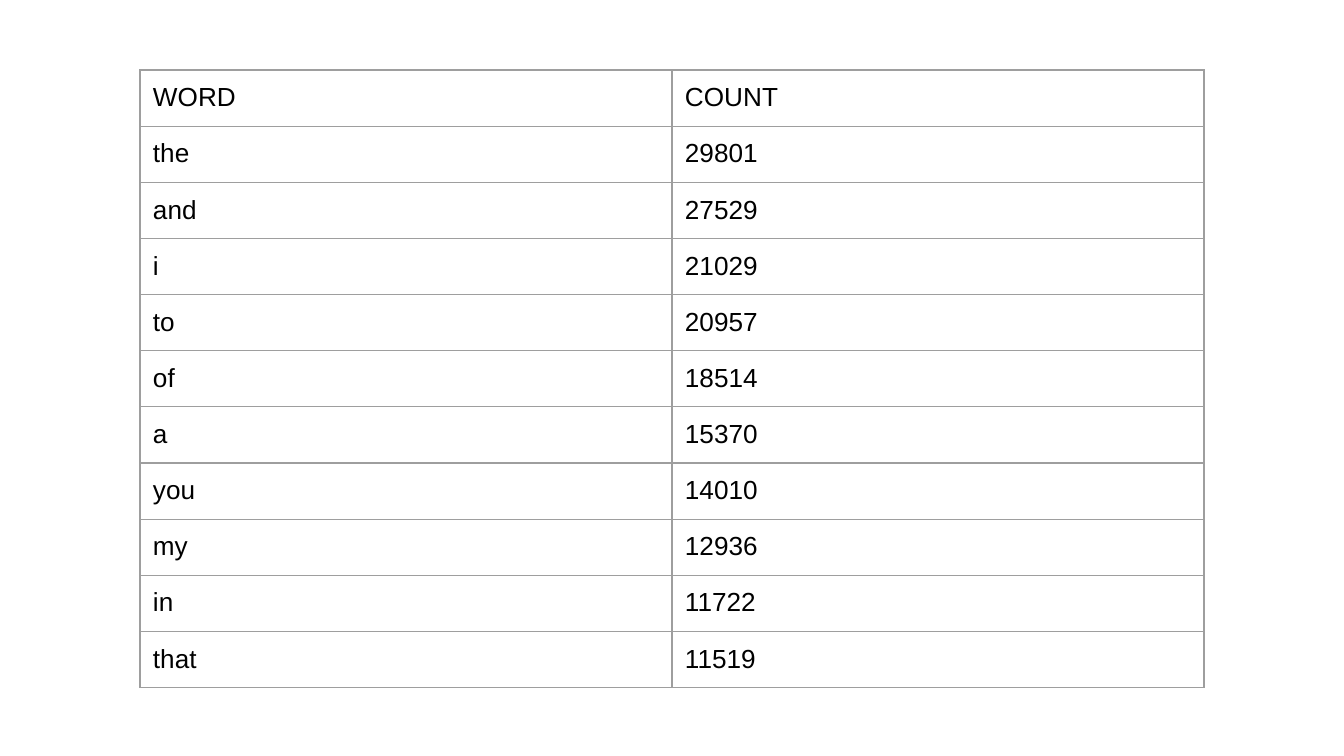
from dataclasses import dataclass

from lxml import etree
from pptx import Presentation
from pptx.dml.color import RGBColor
from pptx.enum.text import MSO_ANCHOR, PP_ALIGN
from pptx.oxml.ns import qn
from pptx.util import Pt

TOP = MSO_ANCHOR.TOP
LEFT = PP_ALIGN.LEFT
BLANK_LAYOUT = 6
EMU_PER_PX = 914400 / 134.4
BORDER_SIDES = ("a:lnL", "a:lnR", "a:lnT", "a:lnB")


@dataclass(frozen=True)
class Theme:
    font: str = "Arial"
    text_size: float = 14
    text_color: str = "000000"
    background: str = "FFFFFF"
    border_color: str = "9E9E9E"
    border_width: float = 0.75


THEME = Theme()

WORD_COUNTS = [
    ("WORD", "COUNT"),
    ("the", 29801),
    ("and", 27529),
    ("i", 21029),
    ("to", 20957),
    ("of", 18514),
    ("a", 15370),
    ("you", 14010),
    ("my", 12936),
    ("in", 11722),
    ("that", 11519),
]


def px(length):
    return round(length * EMU_PER_PX)


def apply_format(target, values):
    for attribute, value in values.items():
        setattr(target, attribute, value)


def add_borders(cell):
    properties = cell._tc.get_or_add_tcPr()
    for position, side in enumerate(BORDER_SIDES):
        border = etree.Element(qn(side), w=str(Pt(THEME.border_width)))
        fill = etree.SubElement(border, qn("a:solidFill"))
        etree.SubElement(fill, qn("a:srgbClr"), val=THEME.border_color)
        properties.insert(position, border)


def fill_cell(cell, content):
    margins = ("margin_left", "margin_right", "margin_top", "margin_bottom")
    apply_format(cell, dict.fromkeys(margins, px(13)))
    cell.vertical_anchor = TOP
    cell.fill.background()
    add_borders(cell)
    paragraph = cell.text_frame.paragraphs[0]
    paragraph.alignment = LEFT
    run = paragraph.add_run()
    run.text = str(content)
    apply_format(run.font, {
        "name": THEME.font,
        "size": Pt(THEME.text_size),
        "bold": False,
    })
    run.font.color.rgb = RGBColor.from_string(THEME.text_color)


def add_count_table(slide, records, left, top, width, height):
    frame = slide.shapes.add_table(
        len(records), len(records[0]), px(left), px(top), px(width), px(height)
    )
    table = frame.table
    apply_format(table, {"first_row": False, "horz_banding": False})
    for row, record in enumerate(records):
        for column, content in enumerate(record):
            fill_cell(table.cell(row, column), content)


def main():
    presentation = Presentation()
    apply_format(presentation, {"slide_width": px(1344), "slide_height": px(756)})
    slide = presentation.slides.add_slide(presentation.slide_layouts[BLANK_LAYOUT])
    background = slide.background.fill
    background.solid()
    background.fore_color.rgb = RGBColor.from_string(THEME.background)
    add_count_table(slide, WORD_COUNTS, left=140, top=70, width=1064, height=618)
    presentation.save("out.pptx")


if __name__ == "__main__":
    main()
